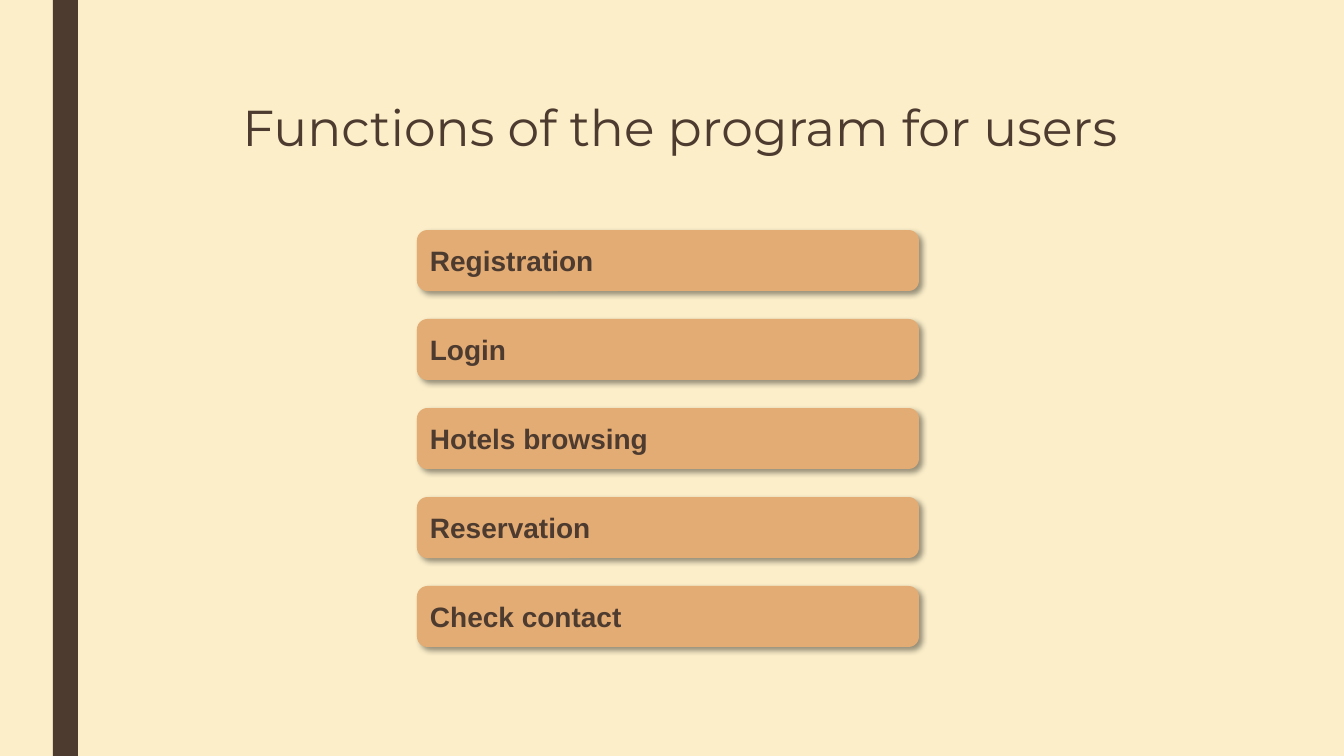
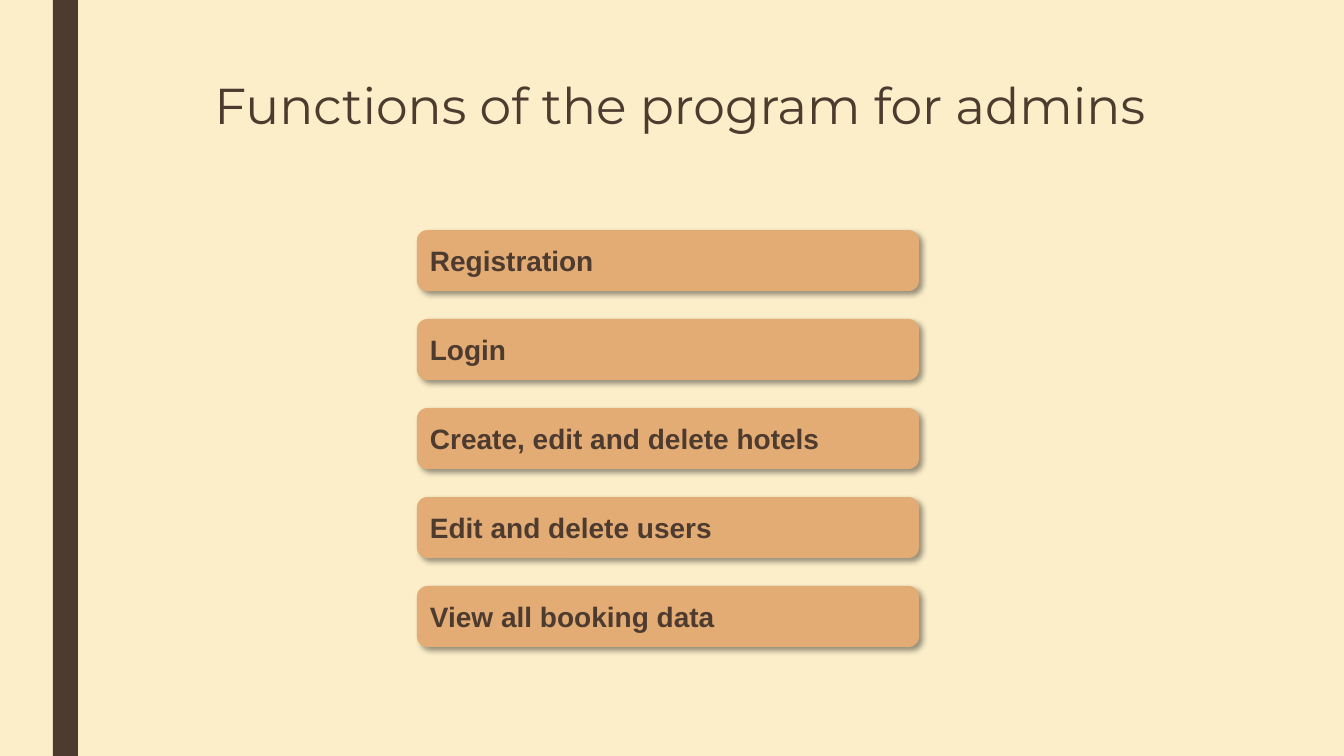
from lxml.etree import SubElement
from pptx import Presentation
from pptx.dml.color import RGBColor
from pptx.enum.shapes import MSO_SHAPE as SHAPE
from pptx.enum.text import MSO_ANCHOR as ANCHOR, PP_ALIGN as ALIGN
from pptx.oxml.ns import qn
from pptx.util import Emu, Pt

SLIDE_W, SLIDE_H = 1344, 756
EMU_PER_PX = 914400 / 100.8

CREAM, BROWN, TAN, BLACK = "FBEEC9", "4E3B30", "E2AC74", "000000"
TITLE_FONT, BODY_FONT = "Montserrat", "Arial"

BAND_BOX = (53, 0, 25, SLIDE_H)
LIST_BOX = (417, 230, 502, 417)
BAR_H = 61

# Title box and function names of each slide
SLIDES = [
    ("Functions of the program for users", (151, 98, 1058, 108),
     ["Registration", "Login", "Hotels browsing", "Reservation",
      "Check contact"]),
    ("Functions of the program for admins", (151, 76, 1058, 163),
     ["Registration", "Login", "Create, edit and delete hotels",
      "Edit and delete users", "View all booking data"]),
]


def px(length):
    return Emu(round(length * EMU_PER_PX))


def color(hex_value):
    return RGBColor.from_string(hex_value)


def write(shape, text, *, font, size, bold=False, align=ALIGN.LEFT,
          anchor=ANCHOR.TOP, spacing=1.0):
    frame = shape.text_frame
    frame.word_wrap = True
    frame.vertical_anchor = anchor
    paragraph = frame.paragraphs[0]
    paragraph.alignment = align
    paragraph.line_spacing = spacing
    run = paragraph.add_run()
    run.text = text
    run.font.name = font
    run.font.size = Pt(size)
    run.font.bold = bold
    run.font.color.rgb = color(BROWN)


def add_block(slide, kind, box, fill):
    block = slide.shapes.add_shape(kind, *map(px, box))
    block.shadow.inherit = False
    block.fill.solid()
    block.fill.fore_color.rgb = color(fill)
    block.line.fill.background()
    return block


def add_soft_shadow(shape):
    effects = shape.element.spPr.find(qn("a:effectLst"))
    shadow = SubElement(effects, qn("a:outerShdw"), blurRad=str(Pt(4)),
                        dist=str(Pt(3)), dir=str(45 * 60000),
                        algn="tl", rotWithShape="0")
    tint = SubElement(shadow, qn("a:srgbClr"), val=BLACK)
    SubElement(tint, qn("a:alpha"), val="40000")


def add_title(slide, text, box):
    title = slide.shapes.add_textbox(*map(px, box))
    write(title, text, font=TITLE_FONT, size=36, align=ALIGN.CENTER,
          spacing=0.89)


def add_function_list(slide, names, box):
    left, top, width, height = box
    pitch = (height - BAR_H) / (len(names) - 1)
    for row, name in enumerate(names):
        bar = add_block(slide, SHAPE.ROUNDED_RECTANGLE,
                        (left, top + row * pitch, width, BAR_H), TAN)
        bar.adjustments[0] = 0.17
        add_soft_shadow(bar)
        write(bar, name, font=BODY_FONT, size=20, bold=True,
              anchor=ANCHOR.MIDDLE)


def add_function_slide(prs, title, title_box, names):
    slide = prs.slides.add_slide(prs.slide_layouts[6])
    add_block(slide, SHAPE.RECTANGLE, BAND_BOX, BROWN)
    add_title(slide, title, title_box)
    add_function_list(slide, names, LIST_BOX)


def main():
    prs = Presentation()
    prs.slide_width, prs.slide_height = px(SLIDE_W), px(SLIDE_H)

    # Shared background
    backdrop = prs.slide_master.background.fill
    backdrop.solid()
    backdrop.fore_color.rgb = color(CREAM)

    for title, title_box, names in SLIDES:
        add_function_slide(prs, title, title_box, names)
    prs.save("out.pptx")


if __name__ == "__main__":
    main()
